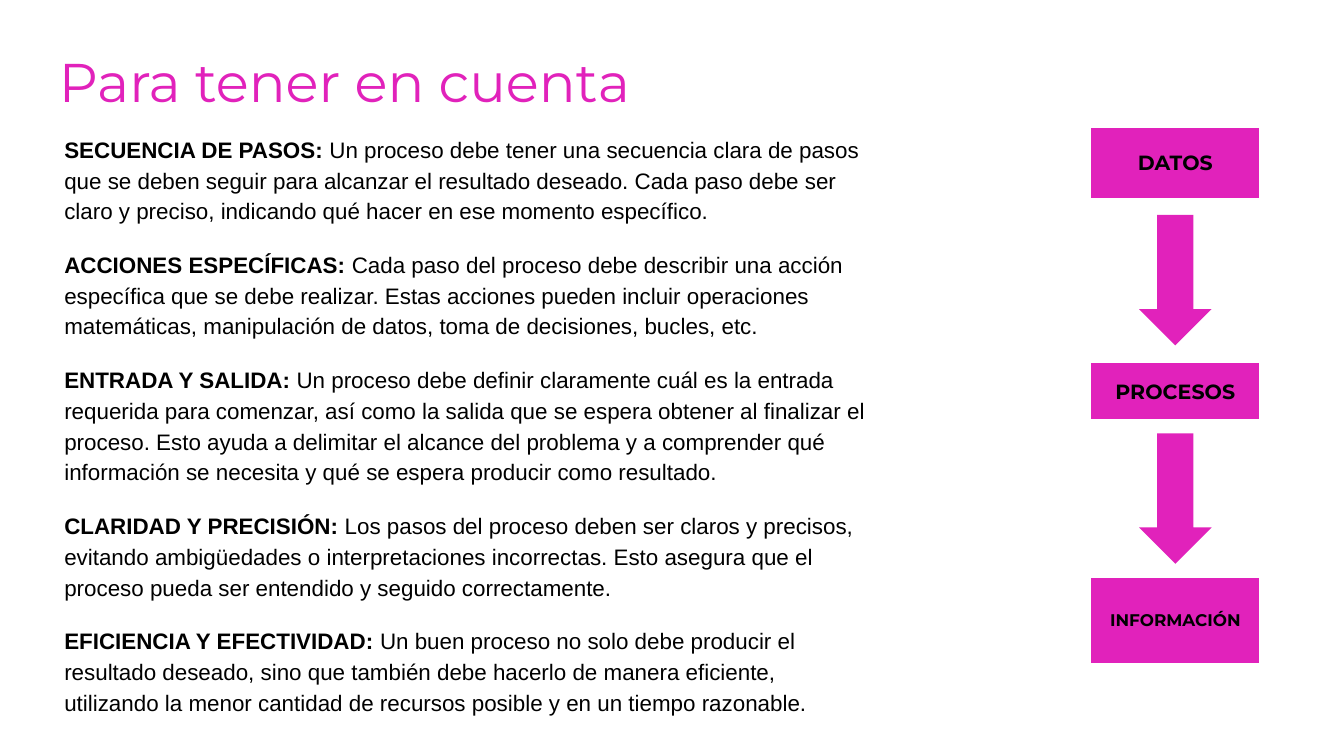
"""Build the slide on what a process needs, with a data-to-information flow."""
import pptx
from pptx.dml.color import RGBColor
from pptx.enum.shapes import MSO_SHAPE
from pptx.enum.text import MSO_ANCHOR, PP_ALIGN
from pptx.util import Inches, Pt

TITLE = "Para tener en cuenta"
POINTS = [
    ("SECUENCIA DE PASOS: ",
     "Un proceso debe tener una secuencia clara de pasos que se deben seguir para alcanzar "
     "el resultado deseado. Cada paso debe ser claro y preciso, indicando qué hacer en ese "
     "momento específico."),
    ("ACCIONES ESPECÍFICAS: ",
     "Cada paso del proceso debe describir una acción específica que se debe realizar. Estas "
     "acciones pueden incluir operaciones matemáticas, manipulación de datos, toma de "
     "decisiones, bucles, etc."),
    ("ENTRADA Y SALIDA: ",
     "Un proceso debe definir claramente cuál es la entrada requerida para comenzar, así como "
     "la salida que se espera obtener al finalizar el proceso. Esto ayuda a delimitar el "
     "alcance del problema y a comprender qué información se necesita y qué se espera "
     "producir como resultado."),
    ("CLARIDAD Y PRECISIÓN: ",
     "Los pasos del proceso deben ser claros y precisos, evitando ambigüedades o "
     "interpretaciones incorrectas. Esto asegura que el proceso pueda ser entendido y "
     "seguido correctamente."),
    ("EFICIENCIA Y EFECTIVIDAD: ",
     "Un buen proceso no solo debe producir el resultado deseado, sino que también debe "
     "hacerlo de manera eficiente, utilizando la menor cantidad de recursos posible y en un "
     "tiempo razonable."),
]
STAGES = [("DATOS", 0.95, 0.52, 11), ("PROCESOS", 2.7, 0.42, 11), ("INFORMACIÓN", 4.3, 0.63, 9)]
SLIDE_WIDTH = 10
SLIDE_HEIGHT = SLIDE_WIDTH * 9 / 16
STAGE_LEFT, STAGE_WIDTH = 8.12, 1.25
ARROW_LENGTH, ARROW_WIDTH = 0.97, 0.54
THEME = {
    "accent": RGBColor.from_string("E122BB"),
    "ink": RGBColor.from_string("000000"),
    "display": "Montserrat", "body": "Arial",
    "title_size": 29.2, "body_size": 12,
}


def style_run(r, font, size, color, bold=False):
    r.font.name, r.font.size, r.font.bold = font, Pt(size), bold
    r.font.color.rgb = color


def set_frame(tf):
    tf.word_wrap = True
    tf.margin_left = tf.margin_right = tf.margin_top = tf.margin_bottom = Inches(0.1)


def add_text_box(s, *box):
    tf = s.shapes.add_textbox(*map(Inches, box)).text_frame
    set_frame(tf)
    return tf


def add_accent_shape(s, kind, *box):
    sp = s.shapes.add_shape(kind, *map(Inches, box))
    sp.shadow.inherit = False
    sp.fill.solid()
    sp.fill.fore_color.rgb = THEME["accent"]
    sp.line.fill.background()
    return sp


def add_title(s):
    tf = add_text_box(s, 0.34, 0.26, 9.32, 0.52)
    tf.text = TITLE
    style_run(tf.paragraphs[0].runs[0], THEME["display"], THEME["title_size"], THEME["accent"])


def add_points(s):
    tf = add_text_box(s, 0.38, 0.88, 6.21, 4.49)
    for i, point in enumerate(POINTS):
        p = tf.add_paragraph() if i else tf.paragraphs[0]
        p.line_spacing = 1.15
        p.space_before = Pt(12 if i else 0)
        for text, bold in zip(point, (True, False)):
            r = p.add_run()
            r.text = text
            style_run(r, THEME["body"], THEME["body_size"], THEME["ink"], bold)


def add_flow(s):
    for label, top, height, size in STAGES:
        sp = add_accent_shape(s, MSO_SHAPE.FLOWCHART_PROCESS, STAGE_LEFT, top, STAGE_WIDTH, height)
        tf = sp.text_frame
        set_frame(tf)
        tf.vertical_anchor = MSO_ANCHOR.MIDDLE
        tf.text = label
        p = tf.paragraphs[0]
        p.alignment = PP_ALIGN.CENTER
        style_run(p.runs[0], THEME["display"], size, THEME["ink"], True)

    arrow_left = STAGE_LEFT + (STAGE_WIDTH - ARROW_LENGTH) / 2
    for (_, top, height, _), (_, next_top, _, _) in zip(STAGES, STAGES[1:]):
        middle = (top + height + next_top) / 2
        sp = add_accent_shape(s, MSO_SHAPE.RIGHT_ARROW, arrow_left, middle - ARROW_WIDTH / 2,
                              ARROW_LENGTH, ARROW_WIDTH)
        sp.rotation = 90


def main():
    prs = pptx.Presentation()
    prs.slide_width, prs.slide_height = Inches(SLIDE_WIDTH), Inches(SLIDE_HEIGHT)
    s = prs.slides.add_slide(prs.slide_layouts[6])
    add_title(s)
    add_points(s)
    add_flow(s)
    prs.save("out.pptx")


if __name__ == "__main__":
    main()
